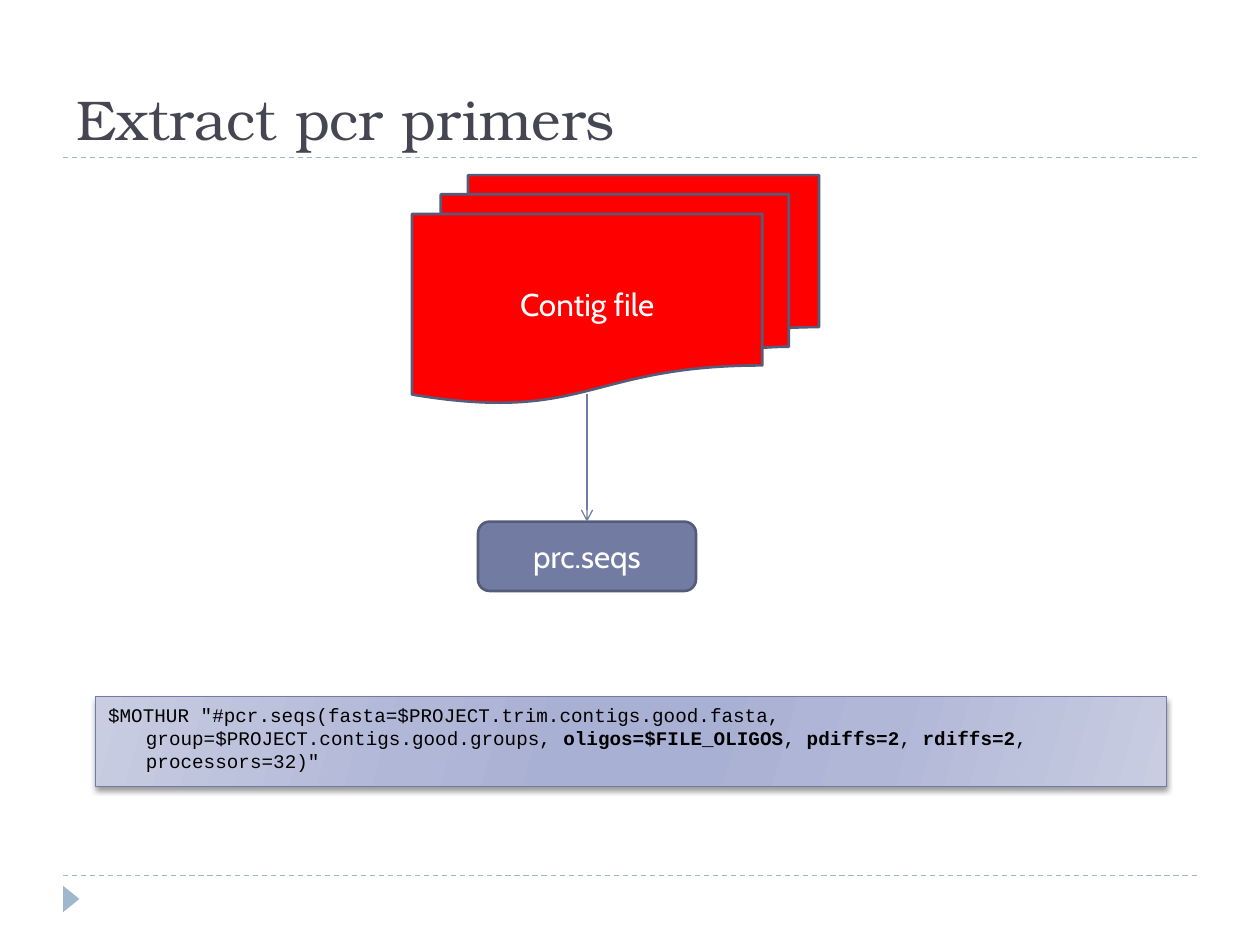
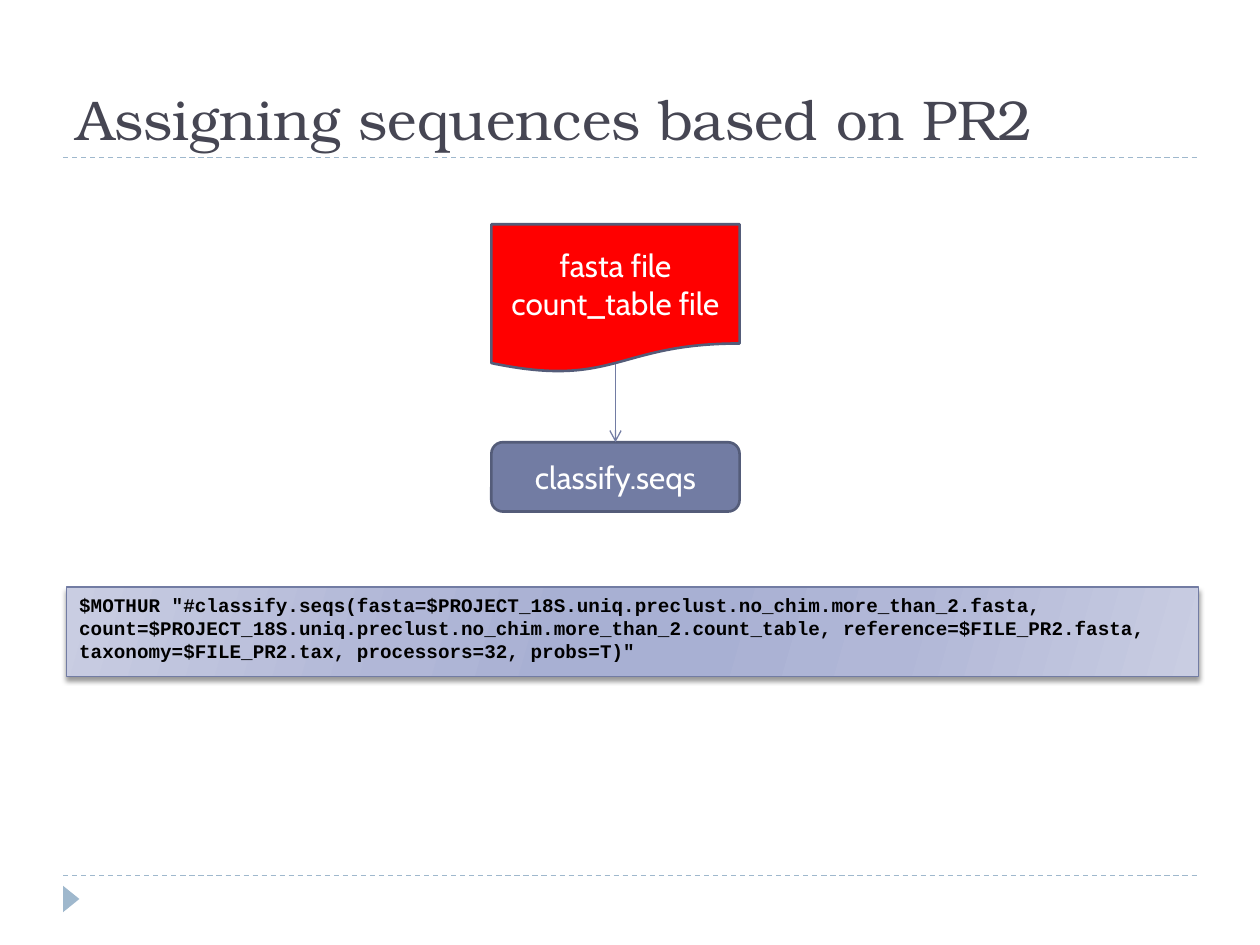
import pptx
import pptx.dml.color
import pptx.enum.dml
import pptx.enum.shapes
import pptx.enum.text
import pptx.oxml
import pptx.oxml.ns
import pptx.util
from collections import namedtuple

RGBColor = pptx.dml.color.RGBColor
Shape = pptx.enum.shapes.MSO_SHAPE
Anchor = pptx.enum.text.MSO_ANCHOR
Align = pptx.enum.text.PP_ALIGN

INK = RGBColor(0x46, 0x46, 0x53)
RULE = RGBColor(0x9F, 0xB8, 0xCD)
SLATE = RGBColor(0x72, 0x7C, 0xA3)
SLATE_DARK = RGBColor(0x54, 0x5C, 0x79)
RED = RGBColor(0xFF, 0x00, 0x00)
WHITE = RGBColor(0xFF, 0xFF, 0xFF)
BLACK = RGBColor(0x00, 0x00, 0x00)
PALE = RGBColor(0xC9, 0xCD, 0xE2)
MIDDLE = RGBColor(0xB1, 0xB7, 0xD7)
DEEP = RGBColor(0xA8, 0xB0, 0xD3)
COMMAND_GRADIENT = [(0, PALE), (30, MIDDLE), (45, DEEP), (55, DEEP), (73, MIDDLE), (100, PALE)]

TITLE_FONT = "TeX Gyre Bonum"
BODY_FONT = "Cabin"
CODE_FONT = "Courier New"

CELL = pptx.util.Inches(0.1)
COLUMNS, ROWS = 100, 75
PROCESS_ROWS = 5.5
ARROW_OVERLAP = 0.75
COMMAND_ROWS = 7.1

Box = namedtuple("Box", "left top width height")


def grid(*lengths):
    return [round(length * CELL) for length in lengths]


def add_xml(parent, xml):
    namespaces = pptx.oxml.ns.nsdecls("a")
    parent.append(pptx.oxml.parse_xml(xml.replace(">", f" {namespaces}>", 1)))


def write_text(shape, paragraphs, font, size, color, align=Align.LEFT,
               anchor=Anchor.TOP, hanging=0):
    frame = shape.text_frame
    frame.word_wrap = True
    frame.vertical_anchor = anchor
    for index, runs in enumerate(paragraphs):
        paragraph = frame.add_paragraph() if index else frame.paragraphs[0]
        paragraph.alignment = align
        if hanging:
            properties = paragraph._p.get_or_add_pPr()
            properties.set("marL", str(round(hanging * CELL)))
            properties.set("indent", str(-round(hanging * CELL)))
        for text, bold in runs:
            run = paragraph.add_run()
            run.text = text
            run.font.name = font
            run.font.size = pptx.util.Pt(size)
            run.font.bold = bold
            run.font.color.rgb = color


def add_shape(slide, preset, box, fill=None, line=None, line_width=1.5):
    shape = slide.shapes.add_shape(preset, *grid(*box))
    shape.shadow.inherit = False
    if fill is not None:
        shape.fill.solid()
        shape.fill.fore_color.rgb = fill
    if line is None:
        shape.line.fill.background()
    else:
        shape.line.color.rgb = line
        shape.line.width = pptx.util.Pt(line_width)
    return shape


def add_line(slide, start, end, color):
    line = slide.shapes.add_connector(
        pptx.enum.shapes.MSO_CONNECTOR.STRAIGHT, *grid(*start, *end))
    line.line.color.rgb = color
    line.line.width = pptx.util.Pt(0.75)
    add_xml(line._element.spPr, "<a:effectLst></a:effectLst>")
    return line


def add_frame(slide, title):
    margin = COLUMNS * 0.05
    for row in (69.5, 12.5):
        rule = add_line(slide, (margin, row), (COLUMNS - margin, row), RULE)
        rule.line.dash_style = pptx.enum.dml.MSO_LINE.DASH
    marker = add_shape(slide, Shape.ISOSCELES_TRIANGLE, Box(4.6, 70.7, 2.1, 1.3), RULE)
    marker.rotation = 90
    title_box = slide.shapes.add_textbox(*grid(5.1, 0, 90, 12.5))
    write_text(title_box, [[(title, False)]], TITLE_FONT, 32, INK, anchor=Anchor.BOTTOM)


def add_flow(slide, box, document, document_rows, document_lines, process,
             process_columns, axis=0.5):
    center = box.left + box.width * axis
    process_top = box.top + box.height - PROCESS_ROWS
    process_box = Box(center - process_columns / 2, process_top, process_columns, PROCESS_ROWS)
    document_box = box._replace(height=document_rows)
    label = dict(font=BODY_FONT, size=18, color=WHITE, align=Align.CENTER, anchor=Anchor.MIDDLE)

    process_shape = add_shape(slide, Shape.FLOWCHART_ALTERNATE_PROCESS, process_box,
                              SLATE, SLATE_DARK)
    write_text(process_shape, [[(process, False)]], **label)
    arrow = add_line(slide, (center, box.top + document_rows - ARROW_OVERLAP),
                     (center, process_top), SLATE)
    add_xml(arrow.line._get_or_add_ln(), '<a:tailEnd type="arrow"></a:tailEnd>')
    document_shape = add_shape(slide, document, document_box, RED, SLATE_DARK)
    write_text(document_shape, [[(line, False)] for line in document_lines], **label)


def add_command(slide, box, runs, hanging=0):
    panel = add_shape(slide, Shape.RECTANGLE, box, line=SLATE, line_width=0.75)
    properties = panel._element.spPr
    stops = "".join(f'<a:gs pos="{position * 1000}"><a:srgbClr val="{color}"/></a:gs>'
                    for position, color in COMMAND_GRADIENT)
    add_xml(properties, f'<a:gradFill rotWithShape="1"><a:gsLst>{stops}</a:gsLst>'
                        f'<a:lin ang="{16 * 60000}" scaled="0"/></a:gradFill>')
    properties.find(pptx.oxml.ns.qn("a:prstGeom")).addnext(properties[-1])
    properties.remove(properties.find(pptx.oxml.ns.qn("a:effectLst")))
    blur, distance = pptx.util.Pt(3), pptx.util.Pt(2)
    add_xml(properties, f'<a:effectLst><a:outerShdw blurRad="{blur}" dist="{distance}" '
                        f'dir="{90 * 60000}" rotWithShape="0"><a:srgbClr val="{BLACK}">'
                        '<a:alpha val="40000"/></a:srgbClr></a:outerShdw></a:effectLst>')
    write_text(panel, [runs], CODE_FONT, 11, BLACK, hanging=hanging)


def build_primers_slide(slide):
    add_frame(slide, "Extract pcr primers")
    add_flow(slide, Box(32.7, 13.9, 32.3, 33), Shape.FLOWCHART_MULTIDOCUMENT, 18.1,
             ["Contig file"], "prc.seqs", 17.3, axis=0.43)
    add_command(slide, Box(7.6, 55.3, 85, COMMAND_ROWS), [
        ('$MOTHUR "#pcr.seqs(fasta=$PROJECT.trim.contigs.good.fasta, '
         'group=$PROJECT.contigs.good.groups, ', False),
        ("oligos=$FILE_OLIGOS", True),
        (", ", False),
        ("pdiffs=2", True),
        (", ", False),
        ("rdiffs=2", True),
        (', processors=32)"', False),
    ], hanging=3)


def build_assignment_slide(slide):
    add_frame(slide, "Assigning sequences based on PR2")
    add_flow(slide, Box(39, 17.8, 19.7, 22.8), Shape.FLOWCHART_DOCUMENT, 11.8,
             ["fasta file", "count_table file"], "classify.seqs", 19.7)
    add_command(slide, Box(5.3, 46.6, 89.8, COMMAND_ROWS), [
        ('$MOTHUR "#classify.seqs(fasta=$PROJECT_18S.uniq.preclust.no_chim.more_than_2.fasta, '
         'count=$PROJECT_18S.uniq.preclust.no_chim.more_than_2.count_table, '
         'reference=$FILE_PR2.fasta, taxonomy=$FILE_PR2.tax, processors=32, probs=T)"', True),
    ])


def main():
    presentation = pptx.Presentation()
    presentation.slide_width, presentation.slide_height = grid(COLUMNS, ROWS)
    blank = presentation.slide_layouts[6]
    for build in (build_primers_slide, build_assignment_slide):
        build(presentation.slides.add_slide(blank))
    presentation.save("out.pptx")


if __name__ == "__main__":
    main()
